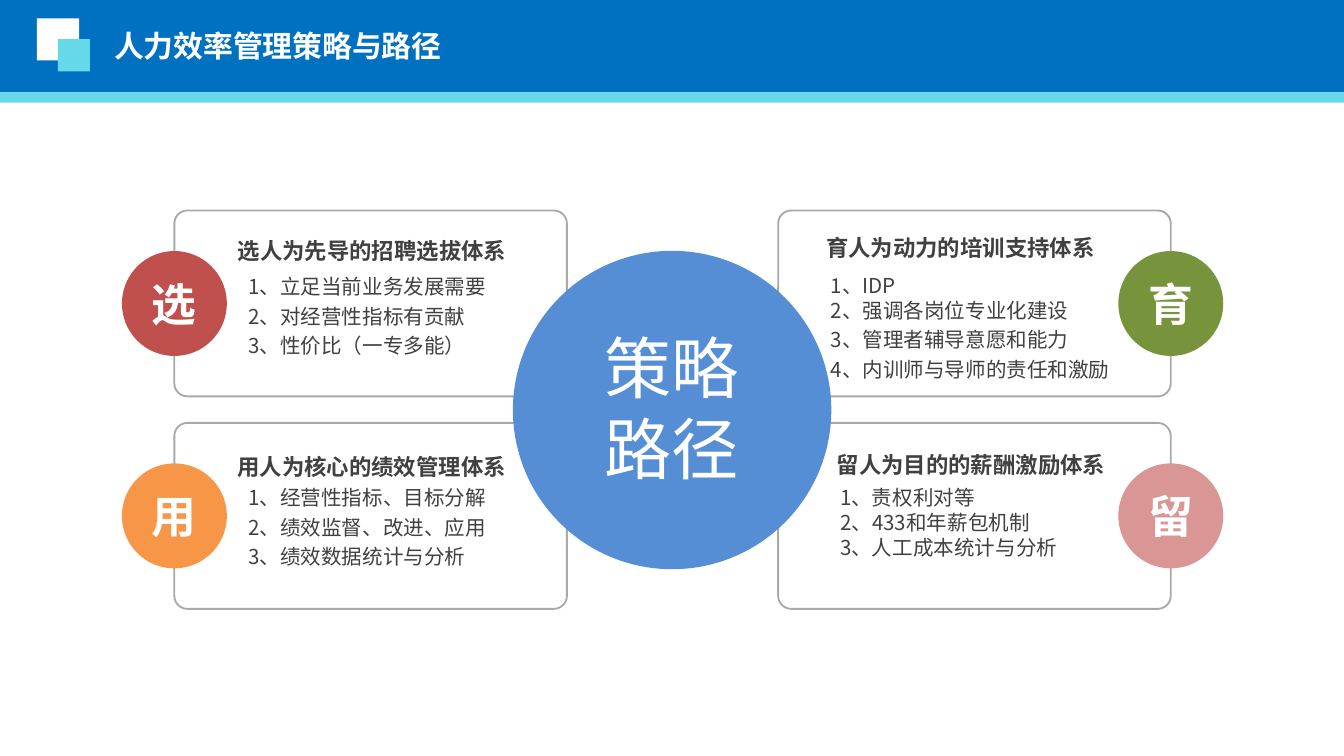
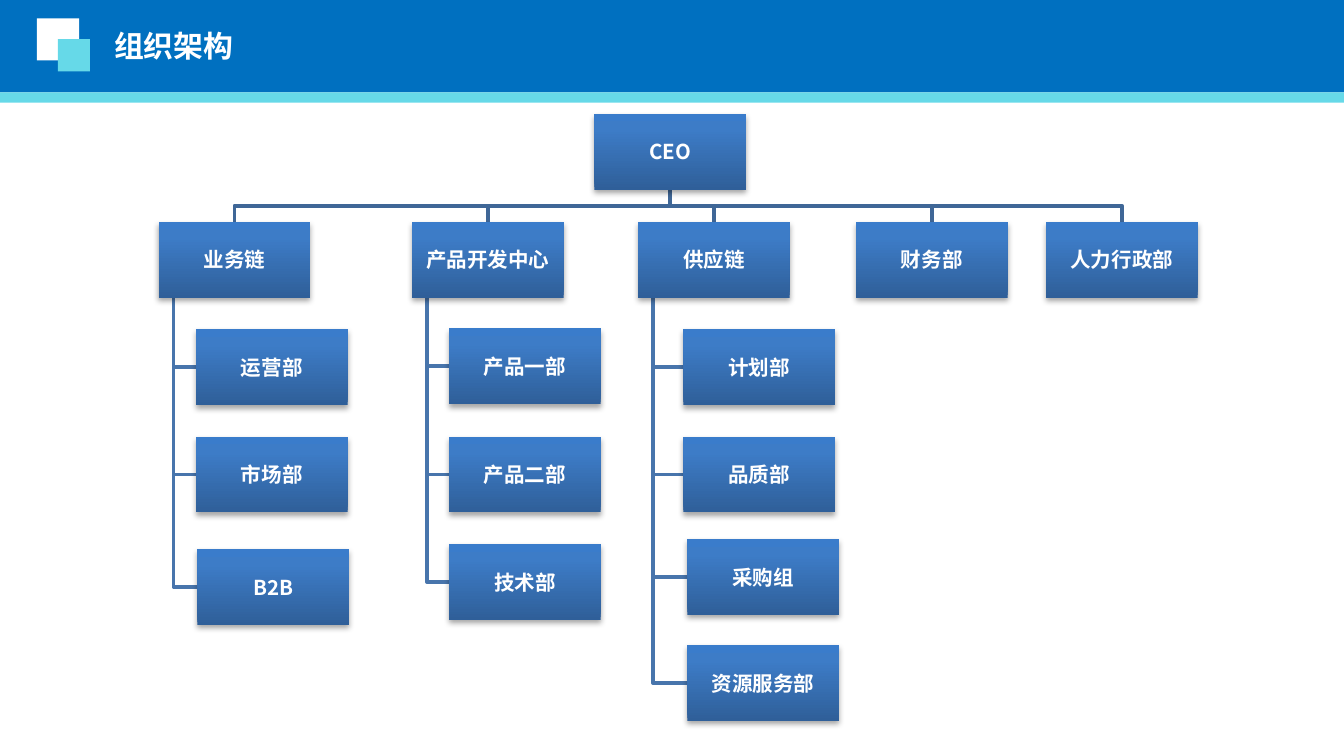
from lxml.etree import SubElement, fromstring
from pptx import Presentation
from pptx.dml.color import RGBColor
from pptx.enum.shapes import MSO_SHAPE
from pptx.enum.text import MSO_ANCHOR, MSO_AUTO_SIZE, PP_ALIGN
from pptx.oxml.ns import nsdecls, qn
from pptx.util import Pt

FONT = "Noto Sans CJK SC"
WHITE = RGBColor(0xFF, 0xFF, 0xFF)
BLUE = RGBColor(0x00, 0x70, 0xC0)
CYAN = RGBColor(0x66, 0xD9, 0xE8)
INK = RGBColor(0x40, 0x40, 0x40)
FRAME = RGBColor(0xA6, 0xAA, 0xA9)
HUB = RGBColor(0x55, 0x8E, 0xD5)
RED = RGBColor(0xC0, 0x50, 0x4D)
ORANGE = RGBColor(0xF7, 0x96, 0x46)
GREEN = RGBColor(0x77, 0x93, 0x3C)
PINK = RGBColor(0xD9, 0x96, 0x94)
TRUNK = RGBColor(0x3F, 0x67, 0x97)
BRANCH = RGBColor(0x48, 0x75, 0xAC)

# Strategy slide: badge, colour, column, row, heading and its box,
# items and their box, number of single-spaced leading items
STRATEGY_TITLE = "人力效率管理策略与路径"
STRATEGY_HUB = "策略路径"
POLICIES = [
    ("选", RED, 0, 0, "选人为先导的招聘选拔体系", (127.4, 121, 149, 23.8),
     ["1、立足当前业务发展需要", "2、对经营性指标有贡献", "3、性价比（一专多能）"],
     (133, 146.9, 137, 58.3), 1),
    ("用", ORANGE, 0, 1, "用人为核心的绩效管理体系", (127.2, 236.9, 153.4, 23.8),
     ["1、经营性指标、目标分解", "2、绩效监督、改进、应用", "3、绩效数据统计与分析"],
     (133, 260, 137, 29), 1),
    ("育", GREEN, 1, 0, "育人为动力的培训支持体系", (438.2, 121, 148.3, 23.8),
     ["1、IDP", "2、强调各岗位专业化建设", "3、管理者辅导意愿和能力",
      "4、内训师与导师的责任和激励"],
     (445, 146.2, 152.8, 59.8), 2),
    ("留", PINK, 1, 1, "留人为目的的薪酬激励体系", (445, 236.9, 147.2, 23.8),
     ["1、责权利对等", "2、433和年薪包机制", "3、人工成本统计与分析"],
     (450, 260, 137, 29), 3),
]

# Organisation slide: department, left, then (unit, left, top)
ORG_TITLE = "组织架构"
CHIEF = ("CEO", 318.4, 61)
DEPARTMENTS = [
    ("业务链", 85, [("运营部", 105, 176.4), ("市场部", 105, 234), ("B2B", 105.8, 294.2)]),
    ("产品开发中心", 220.8,
     [("产品一部", 240.6, 176), ("产品二部", 240.6, 234), ("技术部", 240.6, 291.5)]),
    ("供应链", 341.9,
     [("计划部", 366.1, 176.4), ("品质部", 366.1, 234),
      ("采购组", 368.2, 288.8), ("资源服务部", 368.2, 345.6)]),
    ("财务部", 458.6, []),
    ("人力行政部", 560.4, []),
]

PANEL_LEFTS, PANEL_TOPS = (93.4, 416.9), (112.8, 226.6)
PANEL_WIDTH, PANEL_HEIGHT = 210.3, 99.6
BADGE, HUB_SIZE = 56.2, 170.6
BOX_WIDTH, BOX_HEIGHT = 81.2, 40.6
DEPARTMENT_TOP, STEM_INSET = 118.9, 8

BOX_GRADIENT = (
    f'<a:gradFill {nsdecls("a")} rotWithShape="1"><a:gsLst>'
    '<a:gs pos="0"><a:srgbClr val="2F5F99"/></a:gs>'
    '<a:gs pos="80000"><a:srgbClr val="3D7CC7"/></a:gs>'
    '<a:gs pos="100000"><a:srgbClr val="3A7CCB"/></a:gs>'
    '</a:gsLst><a:lin ang="16200000" scaled="0"/></a:gradFill>')
BOX_SHADOW = (
    f'<a:effectLst {nsdecls("a")}><a:outerShdw blurRad="{Pt(3.1)}" dist="{Pt(1.8)}" '
    'dir="5400000" rotWithShape="0"><a:srgbClr val="000000"><a:alpha val="35000"/>'
    '</a:srgbClr></a:outerShdw></a:effectLst>')


def add_block(slide, preset, box, fill=None, line=None):
    block = slide.shapes.add_shape(preset, *map(Pt, box))
    block.shadow.inherit = False
    if fill is None:
        block.fill.background()
    else:
        block.fill.solid()
        block.fill.fore_color.rgb = fill
    if line is None:
        block.line.fill.background()
    else:
        block.line.color.rgb = line
        block.line.width = Pt(1)
    return block


def write(holder, lines, size, color, bold=False, align=PP_ALIGN.LEFT,
          anchor=MSO_ANCHOR.TOP, inset=0, single=None):
    """Fill a text frame; lines after the first `single` get 1.2 spacing."""
    frame = holder.text_frame
    frame.word_wrap = True
    frame.vertical_anchor = anchor
    if inset is not None:
        frame.margin_left = frame.margin_right = Pt(inset)
        frame.margin_top = frame.margin_bottom = Pt(inset)
    frame.text = "\n".join(lines)
    for index, paragraph in enumerate(frame.paragraphs):
        paragraph.alignment = align
        if single is not None and index >= single:
            paragraph.line_spacing = 1.2
        font = paragraph.font
        font.name, font.size, font.bold = FONT, Pt(size), bold
        font.color.rgb = color
        defaults = paragraph._p.pPr.find(qn("a:defRPr"))
        SubElement(defaults, qn("a:ea"), typeface=FONT)
    return frame


def add_text(slide, box, lines, size, color, **style):
    return write(slide.shapes.add_textbox(*map(Pt, box)), lines, size, color, **style)


def add_path(slide, points, color):
    (start_x, start_y), *rest = [(Pt(x), Pt(y)) for x, y in points]
    builder = slide.shapes.build_freeform(start_x, start_y)
    builder.add_line_segments(rest, close=False)
    path = builder.convert_to_shape()
    path.shadow.inherit = False
    path.fill.background()
    path.line.color.rgb = color
    path.line.width = Pt(2)


def add_slide(deck, title):
    slide = deck.slides.add_slide(deck.slide_layouts[6])
    # Header bands, title and corner squares
    for box, color in [((0, 0, 720, 49.5), BLUE), ((0, 49.5, 720, 5.5), CYAN)]:
        add_block(slide, MSO_SHAPE.RECTANGLE, box, color)
    heading = add_text(slide, (54, 11.3, 306, 26.6), [title], 16, WHITE,
                       bold=True, inset=None)
    heading.auto_size = MSO_AUTO_SIZE.SHAPE_TO_FIT_TEXT
    for box, color in [((19.8, 9.8, 22.6, 22.6), WHITE), ((31, 21, 17.2, 17.2), CYAN)]:
        add_block(slide, MSO_SHAPE.RECTANGLE, box, color)
    return slide


def build_strategy(deck):
    slide = add_slide(deck, STRATEGY_TITLE)
    # Panels behind the hub
    for left in PANEL_LEFTS:
        for top in PANEL_TOPS:
            panel = add_block(slide, MSO_SHAPE.ROUNDED_RECTANGLE,
                              (left, top, PANEL_WIDTH, PANEL_HEIGHT), line=FRAME)
            panel.adjustments[0] = 0.07
    add_block(slide, MSO_SHAPE.OVAL, (274.8, 134.4, HUB_SIZE, HUB_SIZE), HUB)
    # Headings, items and badges centred on the panels' outer edges
    for badge, color, column, row, heading, heading_box, items, items_box, single in POLICIES:
        add_text(slide, items_box, items, 11, INK, single=single)
        add_text(slide, heading_box, [heading], 12, INK, bold=True,
                 align=PP_ALIGN.RIGHT if column else PP_ALIGN.LEFT,
                 anchor=MSO_ANCHOR.MIDDLE, single=1 if column else 0)
        edge = PANEL_LEFTS[column] + column * PANEL_WIDTH
        middle = PANEL_TOPS[row] + PANEL_HEIGHT / 2
        disc = add_block(slide, MSO_SHAPE.OVAL,
                         (edge - BADGE / 2, middle - BADGE / 2, BADGE, BADGE), color)
        write(disc, [badge], 24, WHITE, bold=True, align=PP_ALIGN.CENTER,
              anchor=MSO_ANCHOR.MIDDLE, inset=2)
    hub = add_text(slide, (314.6, 199.4, 90.7, 37.4), [STRATEGY_HUB], 36, WHITE,
                   align=PP_ALIGN.CENTER, anchor=MSO_ANCHOR.MIDDLE)
    hub.paragraphs[0].space_before = Pt(10)


def add_org_box(slide, name, left, top):
    box = add_block(slide, MSO_SHAPE.RECTANGLE, (left, top, BOX_WIDTH, BOX_HEIGHT))
    properties = box._element.spPr
    for tag, xml in [("a:noFill", BOX_GRADIENT), ("a:effectLst", BOX_SHADOW)]:
        properties.replace(properties.find(qn(tag)), fromstring(xml))
    write(box, [name], 11, WHITE, bold=True, align=PP_ALIGN.CENTER,
          anchor=MSO_ANCHOR.MIDDLE, inset=1)


def build_organisation(deck):
    slide = add_slide(deck, ORG_TITLE)
    _, chief_left, chief_top = CHIEF
    chief_x, chief_bottom = chief_left + BOX_WIDTH / 2, chief_top + BOX_HEIGHT
    trunk_y = (chief_bottom + DEPARTMENT_TOP) / 2
    # Lines first, so that the boxes cover their ends
    for _, left, units in reversed(DEPARTMENTS):
        department_x, stem_x = left + BOX_WIDTH / 2, left + STEM_INSET
        for _, unit_left, unit_top in reversed(units):
            unit_y = unit_top + BOX_HEIGHT / 2
            add_path(slide, [(stem_x, DEPARTMENT_TOP + BOX_HEIGHT), (stem_x, unit_y),
                             (unit_left, unit_y)], BRANCH)
        add_path(slide, [(chief_x, chief_bottom), (chief_x, trunk_y),
                         (department_x, trunk_y), (department_x, DEPARTMENT_TOP)], TRUNK)
    # Boxes
    add_org_box(slide, *CHIEF)
    for name, left, units in DEPARTMENTS:
        add_org_box(slide, name, left, DEPARTMENT_TOP)
        for unit in units:
            add_org_box(slide, *unit)


def main():
    deck = Presentation()
    deck.slide_width, deck.slide_height = Pt(720), Pt(405)
    build_strategy(deck)
    build_organisation(deck)
    deck.save("out.pptx")


if __name__ == "__main__":
    main()
